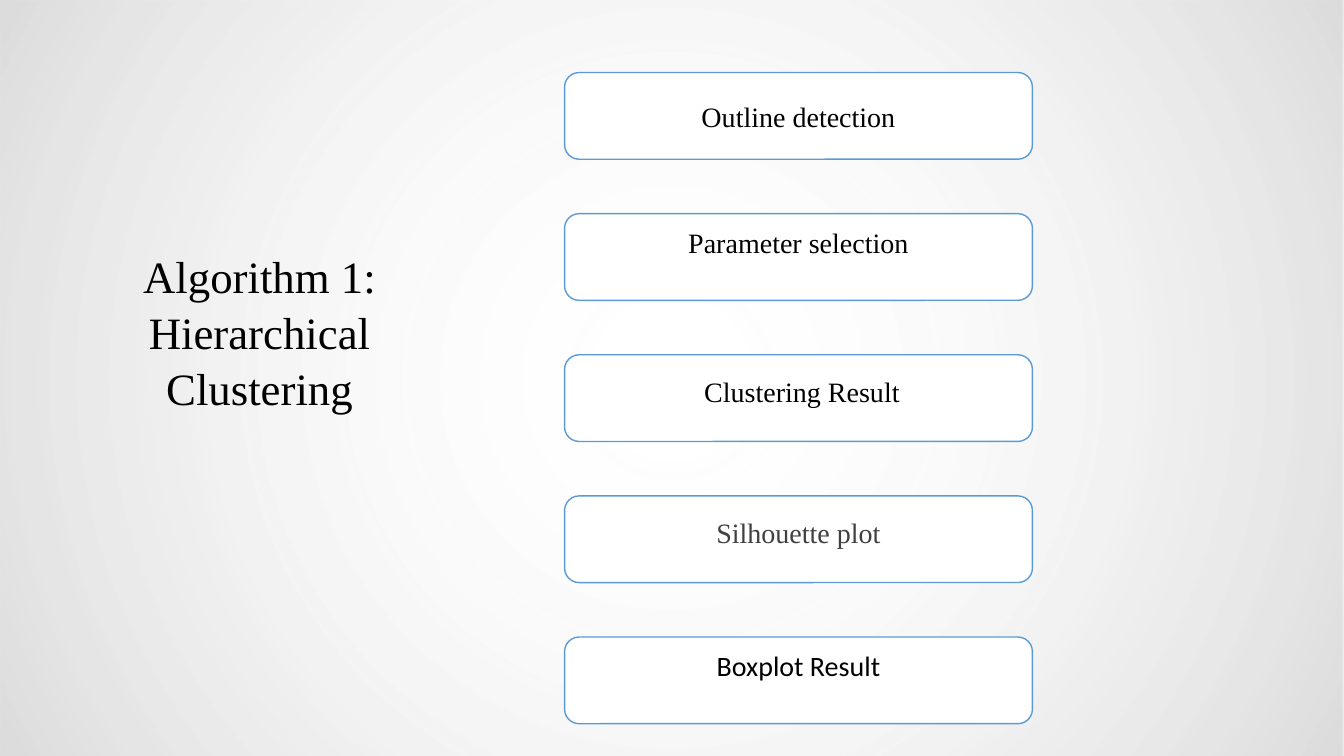
from lxml.etree import SubElement
from pptx import Presentation
from pptx.dml.color import RGBColor
from pptx.enum.shapes import MSO_SHAPE
from pptx.enum.text import MSO_ANCHOR, MSO_AUTO_SIZE, PP_ALIGN
from pptx.oxml.ns import qn
from pptx.util import Inches, Pt

SERIF = "Times New Roman"
TITLE = ["Algorithm 1:", "Hierarchical Clustering"]
STEPS = [
    ("Outline detection", SERIF, "000000", 0),
    ("Parameter selection", SERIF, "000000", 0.3),
    (" Clustering Result", SERIF, "000000", 0.14),
    ("Silhouette plot", SERIF, "404040", 0.14),
    ("Boxplot Result", "Calibri", "000000", 0.3),
]
GLOW = [(0, "FFFFFF", 0), (67, "BFBFBF", 25), (100, "A6A6A6", 40)]
LEFT, TOP, WIDTH, HEIGHT, PITCH = 5.6, 0.72, 4.64, 0.86, 1.4


def rgb(value):
    return RGBColor.from_string(value)


def format_text(p, font, size, color):
    p.alignment = PP_ALIGN.CENTER
    for r in p.runs:
        r.font.name = font
        r.font.size = Pt(size)
        r.font.color.rgb = rgb(color)


def add_glow(slide, width, height):
    sp = slide.shapes.add_shape(MSO_SHAPE.RECTANGLE, 0, 0, width, height)
    sp.shadow.inherit = False
    sp.line.fill.background()
    sp.fill.gradient()
    grad = sp.element.spPr.find(qn("a:gradFill"))
    for child in list(grad):
        grad.remove(child)
    stops = SubElement(grad, qn("a:gsLst"))
    for position, color, opacity in GLOW:
        stop = SubElement(stops, qn("a:gs"), pos=str(position * 1000))
        clr = SubElement(stop, qn("a:srgbClr"), val=color)
        SubElement(clr, qn("a:alpha"), val=str(opacity * 1000))
    circle = SubElement(grad, qn("a:path"), path="circle")
    SubElement(circle, qn("a:fillToRect"), l="50000", t="50000", r="50000", b="50000")
    slide.shapes.element.insert(2, sp.element)


def add_title(slide):
    sp = slide.shapes.title
    sp.left, sp.top, sp.width, sp.height = map(Inches, (1.15, 2.4, 2.85, 2.79))
    tf = sp.text_frame
    tf.text = "\n".join(TITLE)
    tf.word_wrap = True
    tf.auto_size = MSO_AUTO_SIZE.NONE
    tf.vertical_anchor = MSO_ANCHOR.TOP
    for p in tf.paragraphs:
        p.line_spacing = 1.04
        p.space_before = Pt(0)
        format_text(p, SERIF, 32, "000000")


def add_step(slide, index, text, font, color, lift):
    sp = slide.shapes.add_shape(
        MSO_SHAPE.ROUNDED_RECTANGLE,
        Inches(LEFT), Inches(TOP + index * PITCH), Inches(WIDTH), Inches(HEIGHT),
    )
    sp.shadow.inherit = False
    sp.fill.solid()
    sp.fill.fore_color.rgb = rgb("FFFFFF")
    sp.line.color.rgb = rgb("5B9BD5")
    sp.line.width = Pt(1)
    tf = sp.text_frame
    tf.text = text
    tf.word_wrap = True
    tf.vertical_anchor = MSO_ANCHOR.MIDDLE
    tf.margin_bottom = Inches(0.05 + lift)
    format_text(tf.paragraphs[0], font, 20, color)


def main():
    prs = Presentation()
    prs.slide_width, prs.slide_height = Inches(13.33), Inches(7.5)
    s = prs.slides.add_slide(prs.slide_layouts[5])
    add_glow(s, prs.slide_width, prs.slide_height)
    add_title(s)
    for index, step in enumerate(STEPS):
        add_step(s, index, *step)
    prs.save("out.pptx")


if __name__ == "__main__":
    main()
